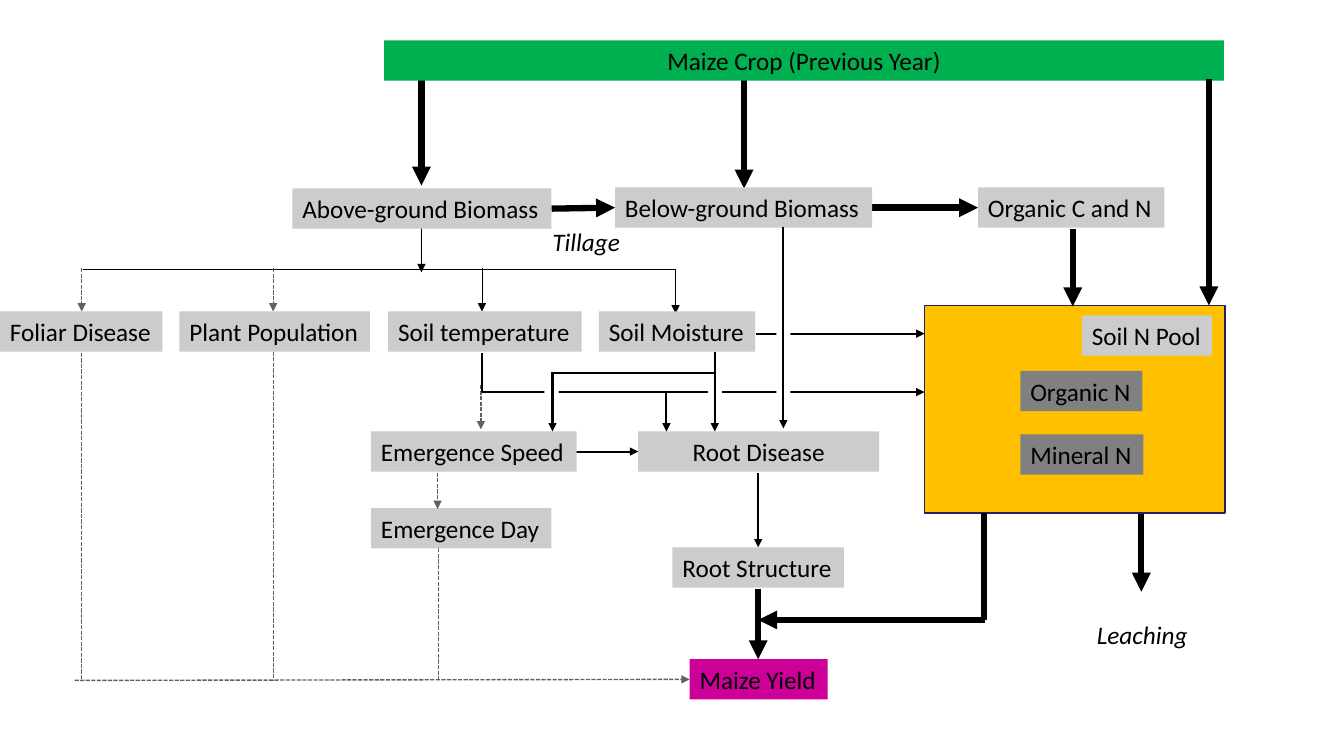
from lxml.etree import SubElement
from pptx import Presentation
from pptx.dml.color import RGBColor
from pptx.enum.dml import MSO_LINE
from pptx.enum.shapes import MSO_CONNECTOR, MSO_SHAPE
from pptx.enum.text import MSO_ANCHOR, MSO_AUTO_SIZE, PP_ALIGN
from pptx.oxml.ns import qn
from pptx.util import Inches, Pt


def rgb(value):
    return RGBColor.from_string(value)


class Diagram:
    font, size, ink, dash_ink = "Calibri", 18, "000000", "606060"
    box_h = 0.4
    heavy, medium, thin, dashed = 4.5, 1.5, 0.25, 1

    def __init__(self, slide):
        self.s = slide

    def rect(self, x, y, w, h, fill, border=None):
        sp = self.s.shapes.add_shape(
            MSO_SHAPE.RECTANGLE, Inches(x), Inches(y), Inches(w), Inches(h))
        sp.shadow.inherit = False
        sp.fill.solid()
        sp.fill.fore_color.rgb = rgb(fill)
        if border:
            sp.line.color.rgb = rgb(border)
            sp.line.width = Pt(1)
        else:
            sp.line.fill.background()
        return sp

    def add_text(self, sp, text, centred=False, italic=False):
        tf = sp.text_frame
        tf.word_wrap = centred
        tf.auto_size = MSO_AUTO_SIZE.SHAPE_TO_FIT_TEXT
        tf.vertical_anchor = MSO_ANCHOR.TOP
        p = tf.paragraphs[0]
        p.alignment = PP_ALIGN.CENTER if centred else PP_ALIGN.LEFT
        r = p.add_run()
        r.text = text
        r.font.name = self.font
        r.font.size = Pt(self.size)
        r.font.italic = italic
        r.font.color.rgb = rgb(self.ink)

    def box(self, text, x, y, w, fill="CCCCCC", centred=False):
        self.add_text(self.rect(x, y, w, self.box_h, fill), text, centred)

    def label(self, text, x, y, w):
        sp = self.s.shapes.add_textbox(
            Inches(x), Inches(y), Inches(w), Inches(self.box_h))
        self.add_text(sp, text, italic=True)

    def line(self, x1, y1, x2, y2, width, arrow=True):
        c = self.s.shapes.add_connector(
            MSO_CONNECTOR.STRAIGHT, Inches(x1), Inches(y1), Inches(x2), Inches(y2))
        is_dashed = width == self.dashed
        c.line.color.rgb = rgb(self.dash_ink if is_dashed else self.ink)
        c.line.width = Pt(width)
        if is_dashed:
            c.line.dash_style = MSO_LINE.SQUARE_DOT
        spPr = c._element.spPr
        if arrow:
            SubElement(spPr.find(qn("a:ln")), qn("a:tailEnd"), type="triangle")
        SubElement(spPr, qn("a:effectLst"))


prs = Presentation()
prs.slide_width, prs.slide_height = Inches(13.33), Inches(7.5)
d = Diagram(prs.slides.add_slide(prs.slide_layouts[6]))

foliar_x, population_x, temperature_x, moisture_x = 0.81, 2.71, 4.78, 6.7
above_x, yield_x, pool_x, pool_out_x = 4.18, 7.52, 9.17, 9.76
branch_y, effects_y, yield_y = 2.67, 3.09, 6.75

d.rect(pool_x, 3.03, 2.98, 2.06, "FFC000", "212166")

for x1, y1, x2, y2 in [
    (above_x, 0.7, above_x, 1.84),
    (7.38, 0.78, 7.38, 1.87),
    (5.47, 2.07, 6.1, 2.06),
    (8.65, 2.06, 9.7, 2.06),
    (10.64, 2.27, 10.64, 3.04),
    (11.32, 5.1, 11.32, 5.87),
    (yield_x, 5.84, yield_x, 6.54),
    (9.77, 6.15, yield_x, 6.15),
]:
    d.line(x1, y1, x2, y2, d.heavy)
d.line(pool_out_x, 5.09, pool_out_x, 6.15, d.heavy, arrow=False)

d.line(above_x, 2.26, above_x, 2.7, d.thin)
d.line(0.82, branch_y, moisture_x, branch_y, d.thin, arrow=False)
for x, width in [(foliar_x, d.dashed), (population_x, d.dashed),
                 (temperature_x, d.thin)]:
    d.line(x, 2.66, x, effects_y, width)
d.line(moisture_x, branch_y, moisture_x, 3.11, d.thin)

for x, top in [(foliar_x, 3.5), (population_x, 3.49), (4.35, 5.44)]:
    d.line(x, top, x, yield_y, d.dashed, arrow=False)
d.line(0.74, yield_y, 6.84, 6.74, d.dashed)
d.line(4.77, 3.82, 4.77, 4.26, d.dashed)

d.line(temperature_x, 3.5, temperature_x, 3.89, d.medium, arrow=False)
for x1, y1, x2, y2 in [
    (7.5, 3.31, pool_x, 3.31),
    (temperature_x, 3.89, pool_x, 3.89),
    (5.71, 4.48, 6.33, 4.48),
    (yield_x, 4.69, yield_x, 5.43),
]:
    d.line(x1, y1, x2, y2, d.medium)

for text, x, y, w in [
    ("Above-ground Biomass", 2.9, 1.87, 2.57),
    ("Below-ground Biomass", 6.1, 1.86, 2.55),
    ("Organic C and N", 9.7, 1.86, 1.85),
    ("Foliar Disease", 0, effects_y, 1.61),
    ("Plant Population", 1.78, effects_y, 1.89),
    ("Soil temperature", 3.85, effects_y, 1.92),
    ("Soil Moisture", 5.94, effects_y, 1.55),
    ("Soil N Pool", 10.73, 3.13, 1.29),
    ("Emergence Speed", 3.68, 4.28, 2.04),
    ("Emergence Day", 3.68, 5.04, 1.79),
    ("Root Structure", 6.67, 5.43, 1.7),
]:
    d.box(text, x, y, w)
d.box("Root Disease", 6.33, 4.28, 2.39, centred=True)
d.box("Organic N", 10.12, 3.68, 1.21, "808080")
d.box("Mineral N", 10.12, 4.31, 1.22, "808080")
d.box("Maize Yield", 6.84, 6.54, 1.37, "CC0099")
d.box("Maize Crop (Previous Year)", 3.81, 0.4, 8.33, "00B050", centred=True)
d.label("Tillage", 5.38, 2.2, 0.88)
d.label("Leaching", 10.78, 6.09, 1.11)

d.line(4.34, 4.69, 4.34, 5.05, d.dashed)
d.line(11.99, 0.78, 11.99, 3.03, d.heavy)

for x, y in [(7.02, 3.81), (7.7, 3.79), (7.7, 3.25), (5.4, 3.83)]:
    d.rect(x, y, 0.14, 0.16, "FFFFFF")
for x, top, bottom in [(7.09, 3.49, 4.28), (7.77, 2.25, 4.25),
                       (6.61, 3.9, 4.28), (5.48, 3.69, 4.28)]:
    d.line(x, top, x, bottom, d.medium)
d.line(5.48, 3.7, 7.09, 3.7, d.medium, arrow=False)

prs.save("out.pptx")
